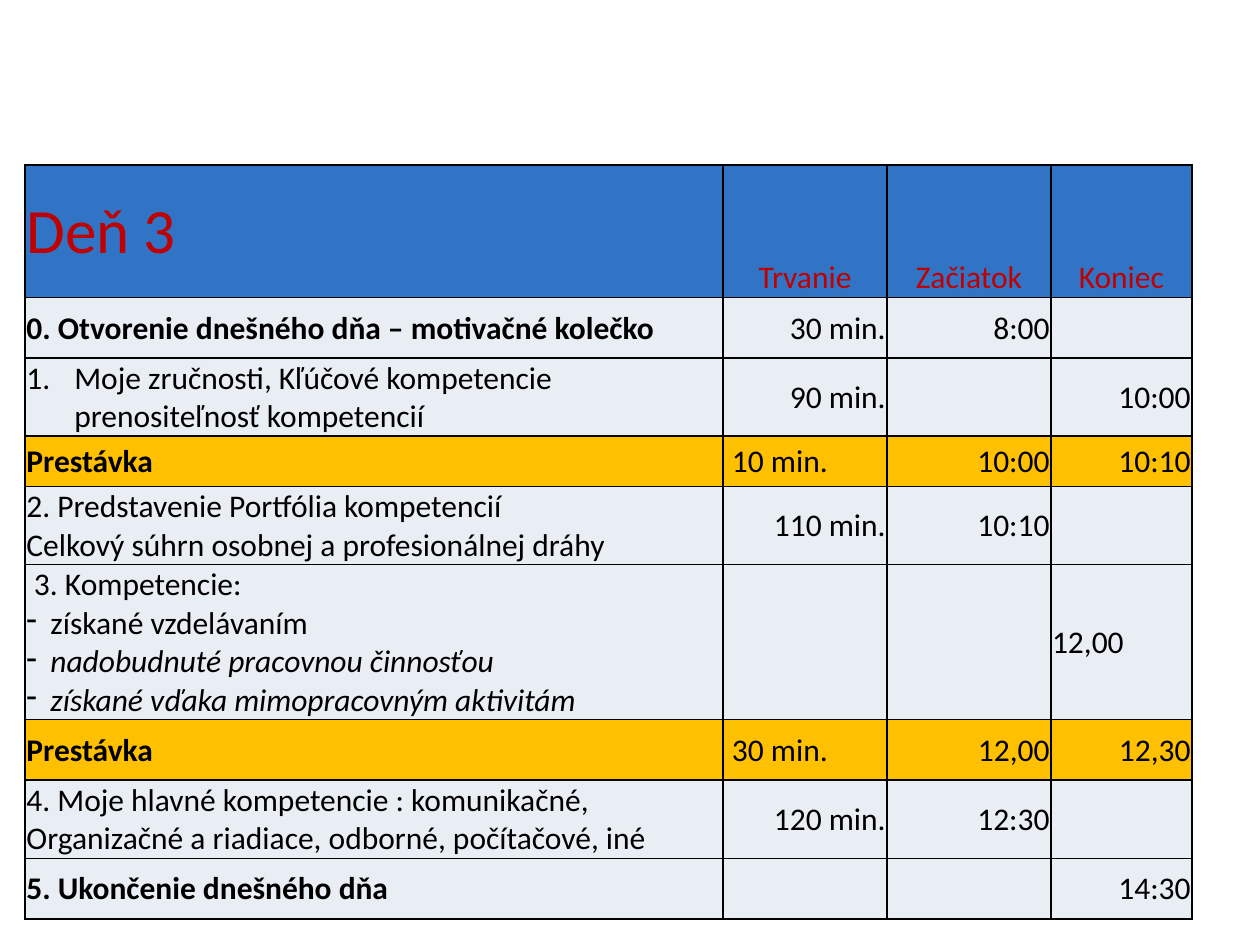
from lxml import etree
from pptx import Presentation
from pptx.dml.color import RGBColor
from pptx.enum import text
from pptx.oxml import ns
from pptx.util import Inches, Pt

RED = RGBColor(0xC0, 0x00, 0x00)
BLACK = RGBColor(0x00, 0x00, 0x00)
BLUE = RGBColor(0x31, 0x74, 0xC5)
PALE = RGBColor(0xE9, 0xED, 0xF4)
AMBER = RGBColor(0xFF, 0xC0, 0x00)
LEFT, CENTER, RIGHT = text.PP_ALIGN.LEFT, text.PP_ALIGN.CENTER, text.PP_ALIGN.RIGHT
MIDDLE, BOTTOM = text.MSO_ANCHOR.MIDDLE, text.MSO_ANCHOR.BOTTOM

# Content: heading, then (row height, kind, activity lines, duration, start, end)
HEADING = ("Deň 3", "Trvanie", "Začiatok", "Koniec")
HEADING_HEIGHT = 1.05
COLUMN_WIDTHS = (5.54, 1.3, 1.3, 1.12)
SCHEDULE = [
    (0.48, "bold", ["0. Otvorenie dnešného dňa – motivačné kolečko"], "30 min.", "8:00", ""),
    (0.62, "numbered", ["Moje zručnosti, Kľúčové kompetencie prenositeľnosť kompetencií"],
     "90 min.", "", "10:00"),
    (0.4, "break", ["Prestávka"], "10 min.", "10:00", "10:10"),
    (0.62, "plain", ["2. Predstavenie Portfólia kompetencií",
                     "Celkový súhrn osobnej a profesionálnej dráhy"], "110 min.", "10:10", ""),
    (1.15, "list", ["3. Kompetencie:", "získané vzdelávaním",
                    "nadobudnuté pracovnou činnosťou",
                    "získané vďaka mimopracovným aktivitám"], "", "", "12,00"),
    (0.48, "break", ["Prestávka"], "30 min.", "12,00", "12,30"),
    (0.58, "plain", ["4. Moje hlavné kompetencie : komunikačné,",
                     "Organizačné a riadiace, odborné, počítačové, iné"],
     "120 min.", "12:30", ""),
    (0.48, "bold", ["5. Ukončenie dnešného dňa"], "", "", "14:30"),
]
SMALL_INDENT = 0.06


def format_cell(cell, fill, anchor=MIDDLE):
    cell.margin_left = cell.margin_right = cell.margin_top = Inches(0.01)
    cell.margin_bottom = 0
    cell.vertical_anchor = anchor
    properties = cell._tc.get_or_add_tcPr()
    for side in ("a:lnL", "a:lnR", "a:lnT", "a:lnB"):
        line = etree.SubElement(properties, ns.qn(side), w=str(Pt(1)))
        solid = etree.SubElement(line, ns.qn("a:solidFill"))
        etree.SubElement(solid, ns.qn("a:srgbClr"), val=str(BLACK))
    cell.fill.solid()
    cell.fill.fore_color.rgb = fill


def indent(paragraph, margin, bullet=None, **attributes):
    properties = paragraph._p.get_or_add_pPr()
    properties.set("marL", str(Inches(margin)))
    if bullet:
        properties.set("indent", str(-Inches(margin)))
        etree.SubElement(properties, ns.qn(bullet), **attributes)


def write(paragraph, words, align=LEFT, color=BLACK, size=18, bold=False, italic=False):
    paragraph.alignment = align
    font = paragraph.font
    if words:
        run = paragraph.add_run()
        run.text = words
        font = run.font
    font.name, font.size = "Calibri", Pt(size)
    font.bold, font.italic = bold, italic
    font.color.rgb = color


def write_activity(cell, kind, lines):
    for index, words in enumerate(lines):
        frame = cell.text_frame
        paragraph = frame.add_paragraph() if index else frame.paragraphs[0]
        if kind == "numbered":
            indent(paragraph, 0.38, "a:buAutoNum", type="arabicPeriod")
        elif kind == "list" and index:
            indent(paragraph, 0.19, "a:buChar", char="-")
        elif kind == "list":
            indent(paragraph, SMALL_INDENT)
        write(paragraph, words, bold=kind in ("bold", "break"),
              italic=kind == "list" and index > 1)


presentation = Presentation()
presentation.slide_width, presentation.slide_height = Inches(10), Inches(7.5)
slide = presentation.slides.add_slide(presentation.slide_layouts[6])

# Table grid
heights = [HEADING_HEIGHT] + [row[0] for row in SCHEDULE]
table = slide.shapes.add_table(
    len(heights), len(COLUMN_WIDTHS), Inches(0.2), Inches(1.31),
    Inches(sum(COLUMN_WIDTHS)), Inches(sum(heights))).table
table.first_row = table.horz_banding = False
for column, width in zip(table.columns, COLUMN_WIDTHS):
    column.width = Inches(width)
for row, height in zip(table.rows, heights):
    row.height = Inches(height)

# Heading row
for index, words in enumerate(HEADING):
    cell = table.cell(0, index)
    format_cell(cell, BLUE, BOTTOM if index else MIDDLE)
    write(cell.text_frame.paragraphs[0], words, CENTER if index else LEFT,
          RED, 18 if index else 36)

# Schedule rows
for number, (_, kind, lines, *times) in enumerate(SCHEDULE, 1):
    fill = AMBER if kind == "break" else PALE
    activity = table.cell(number, 0)
    format_cell(activity, fill)
    write_activity(activity, kind, lines)
    for index, words in enumerate(times, 1):
        cell = table.cell(number, index)
        format_cell(cell, fill)
        paragraph = cell.text_frame.paragraphs[0]
        break_duration = kind == "break" and index == 1
        if break_duration:
            indent(paragraph, SMALL_INDENT)
        write(paragraph, words, LEFT if break_duration or kind == "list" else RIGHT)

presentation.save("out.pptx")
